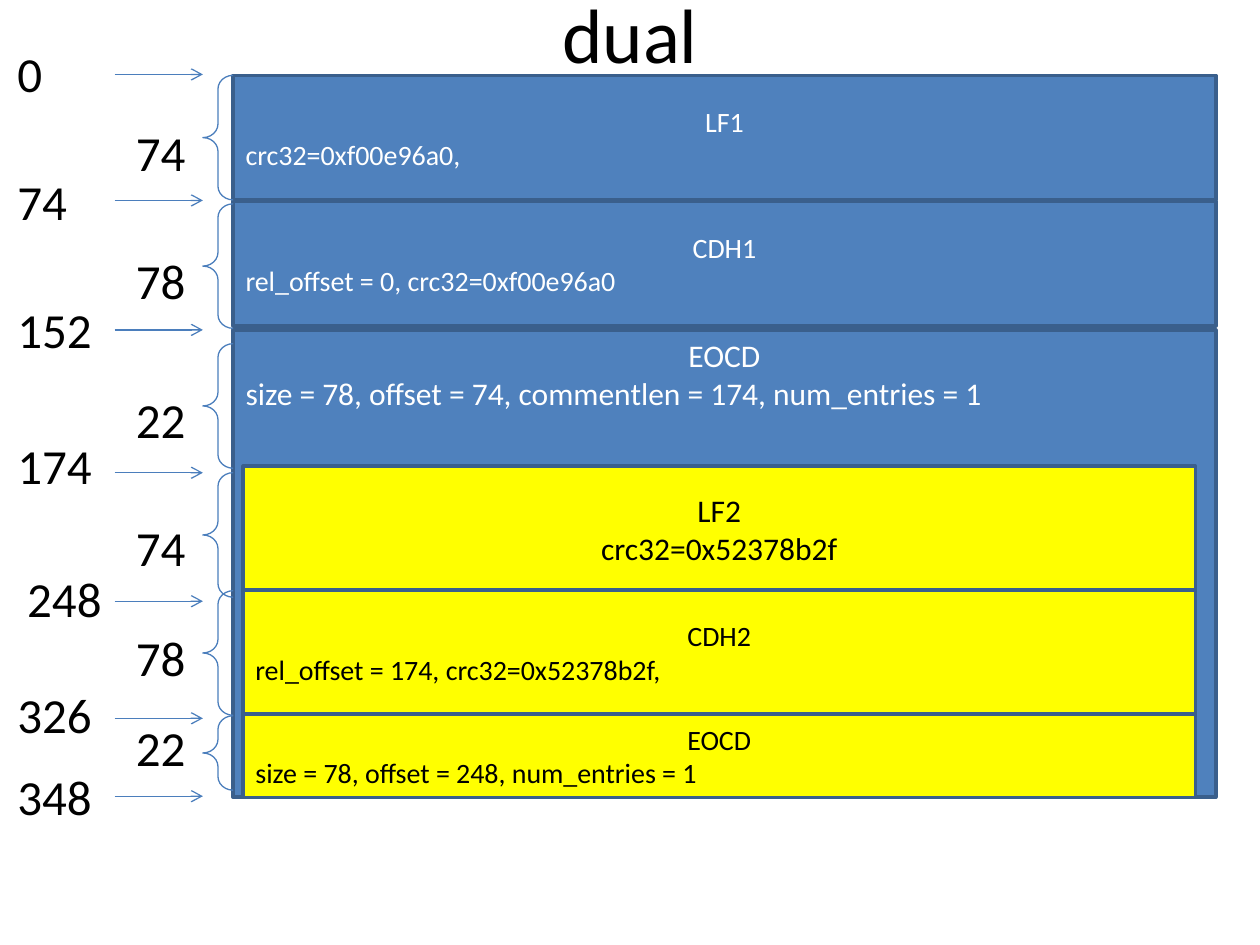
from itertools import accumulate
from pptx import Presentation
from pptx.dml.color import RGBColor
from pptx.enum.shapes import MSO_CONNECTOR, MSO_SHAPE
from pptx.enum.text import MSO_ANCHOR, MSO_AUTO_SIZE, PP_ALIGN
from pptx.oxml.ns import qn
from pptx.util import Cm, Pt
from lxml.etree import SubElement

TITLE = "dual"
FONT = "Calibri"
INK = {"blue": "4F81BD", "edge": "3A5F8C", "rule": "4B7EBC",
       "yellow": "FFFF00", "white": "FFFFFF", "black": "000000"}
LEFT, MID = PP_ALIGN.LEFT, PP_ALIGN.CENTER
TOP, HALF = MSO_ANCHOR.TOP, MSO_ANCHOR.MIDDLE

KINDS = {"outer": (4.7, 19.81, "blue", "white"),
         "inner": (4.9, 19.2, "yellow", "black")}
BLOCKS = [
    ("outer", 1.52, 2.51, 16, HALF, LEFT, "LF1", "crc32=0xf00e96a0, "),
    ("outer", 4.06, 2.51, 16, HALF, LEFT, "CDH1",
     "rel_offset = 0, crc32=0xf00e96a0"),
    ("outer", 6.65, 9.42, 18, TOP, LEFT, "EOCD",
     "size = 78, offset = 74, commentlen = 174, num_entries = 1"),
    ("inner", 9.4, 2.51, 18, HALF, MID, "LF2", "crc32=0x52378b2f"),
    ("inner", 11.89, 2.51, 16, HALF, LEFT, "CDH2",
     "rel_offset = 174, crc32=0x52378b2f, "),
    ("inner", 14.4, 1.68, 16, HALF, LEFT, "EOCD",
     "size = 78, offset = 248, num_entries = 1"),
]
SIZES = [(74, 1.52, 2.51, 2.34), (78, 4.11, 2.51, 4.93),
         (22, 6.93, 2.51, 7.72), (74, 9.53, 2.51, 10.31),
         (78, 11.91, 2.51, 12.52), (22, 14.43, 1.5, 14.33)]
MARKS = [(0.1, 0.76, 1.5), (0.1, 3.33, 4.04), (0.1, 5.92, 6.65),
         (0.1, 8.66, 9.53), (0.3, 11.33, 12.12), (0.1, 13.67, 14.48),
         (0.1, 15.32, 16.05)]
TAIL, TIP, BRACE = 2.31, 4.09, 0.61


def tint(name):
    return RGBColor.from_string(INK[name])


def write(para, text, size, ink, align):
    para.alignment = align
    run = para.add_run()
    run.text = text
    run.font.name = FONT
    run.font.size = Pt(size)
    run.font.color.rgb = tint(ink)


def stroke(item, ink, width):
    item.line.color.rgb = tint(ink)
    item.line.width = Pt(width)


def block(kind, top, high, size, anchor, align, head, body):
    left, wide, fill, ink = KINDS[kind]
    box = slide.shapes.add_shape(
        MSO_SHAPE.RECTANGLE, Cm(left), Cm(top), Cm(wide), Cm(high))
    box.shadow.inherit = False
    box.fill.solid()
    box.fill.fore_color.rgb = tint(fill)
    stroke(box, "edge", 2)
    frame = box.text_frame
    frame.word_wrap = True
    frame.vertical_anchor = anchor
    write(frame.paragraphs[0], head, size, ink, MID)
    write(frame.add_paragraph(), body, size, ink, align)


def label(left, top, value):
    box = slide.shapes.add_textbox(Cm(left), Cm(top), Cm(2.2), Cm(1.45))
    frame = box.text_frame
    frame.word_wrap = True
    frame.auto_size = MSO_AUTO_SIZE.SHAPE_TO_FIT_TEXT
    write(frame.paragraphs[0], str(value), 28, "black", LEFT)


def brace(top, high):
    mark = slide.shapes.add_shape(
        MSO_SHAPE.LEFT_BRACE, Cm(TIP), Cm(top), Cm(BRACE), Cm(high))
    mark.shadow.inherit = False
    mark.adjustments[0] = 0.45
    mark.fill.background()
    stroke(mark, "rule", 0.75)


def arrow(y):
    line = slide.shapes.add_connector(
        MSO_CONNECTOR.STRAIGHT, Cm(TAIL), Cm(y), Cm(TIP), Cm(y))
    stroke(line, "rule", 0.75)
    props = line._element.spPr
    SubElement(props.find(qn("a:ln")), qn("a:tailEnd"), type="arrow")
    SubElement(props, qn("a:effectLst"))


deck = Presentation()
deck.slide_width, deck.slide_height = Cm(25.4), Cm(19.05)
slide = deck.slides.add_slide(deck.slide_layouts[5])

title = slide.shapes.title
title.left, title.top = Cm(1.27), Cm(-0.48)
title.width, title.height = Cm(22.86), Cm(2.29)
title.text_frame.vertical_anchor = HALF
write(title.text_frame.paragraphs[0], TITLE, 44, "black", MID)

for row in BLOCKS:
    block(*row)

for size, top, high, text in SIZES:
    brace(top, high)
    label(2.49, text, size)

offsets = accumulate((row[0] for row in SIZES), initial=0)
for value, (left, top, y) in zip(offsets, MARKS):
    label(left, top, value)
    arrow(y)

deck.save("out.pptx")
